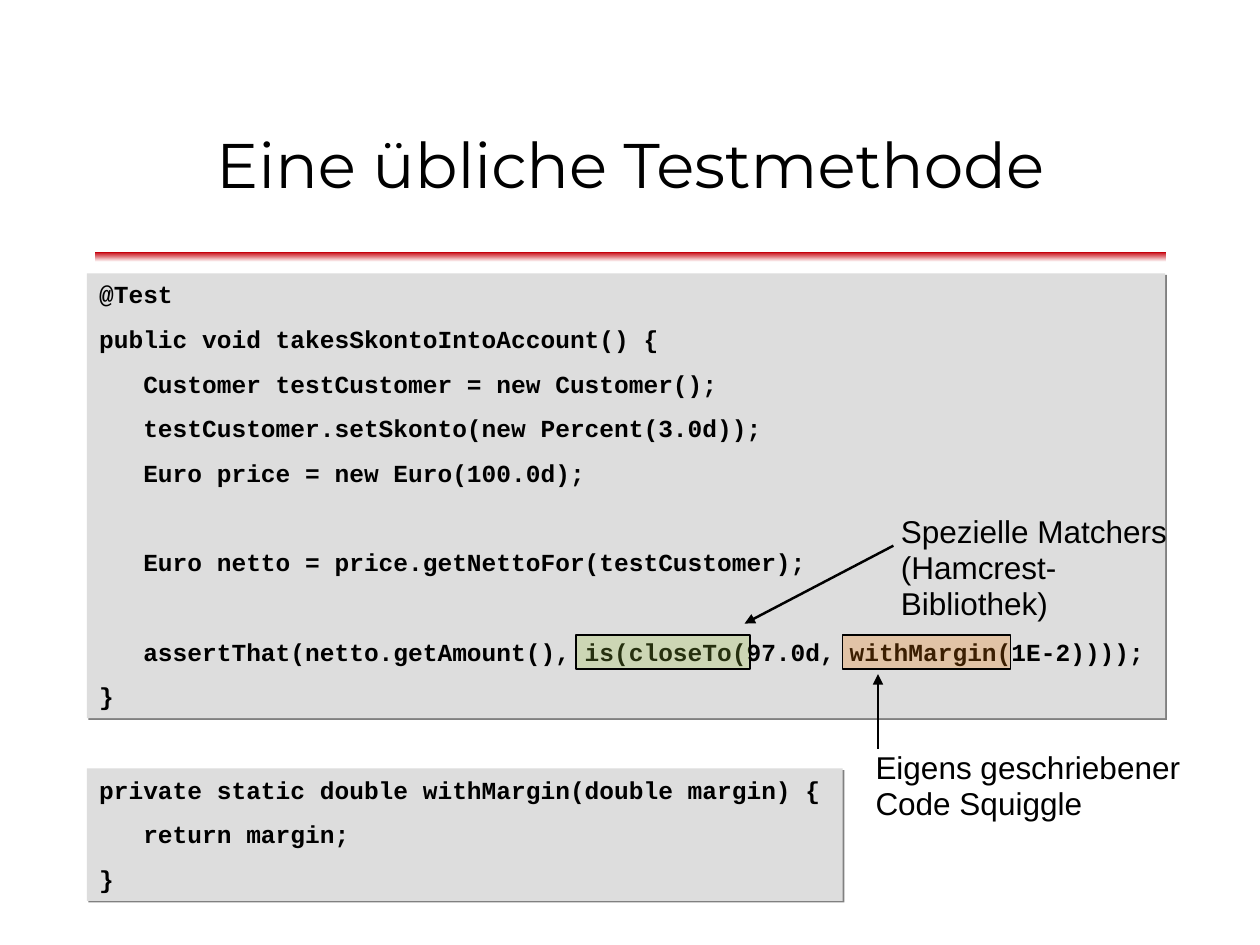
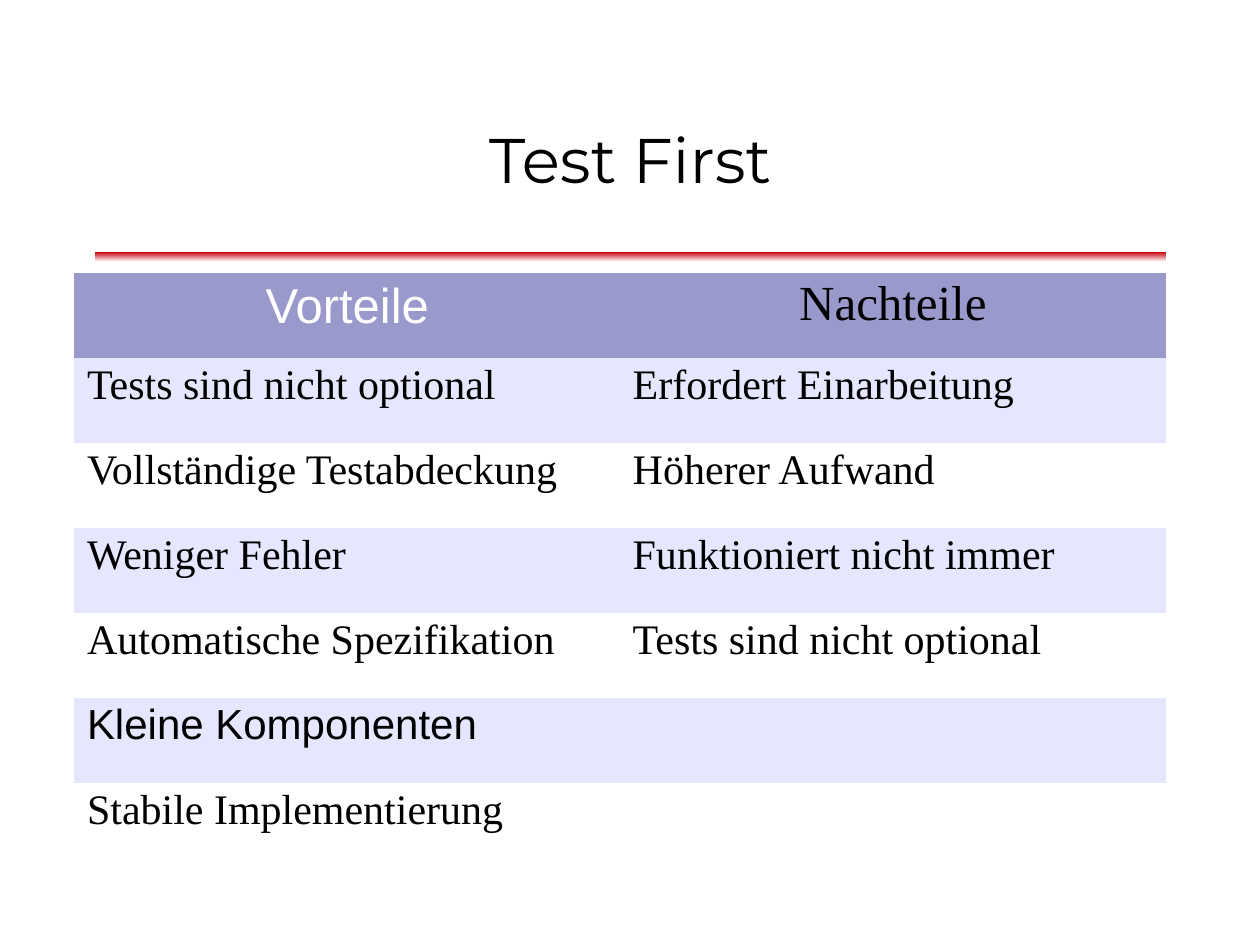
"""Build two slides on test methods and test-first development."""
from dataclasses import dataclass

from lxml import etree
from pptx import Presentation
from pptx import util as u
from pptx.dml.color import RGBColor
from pptx.enum import shapes, text
from pptx.oxml import ns


@dataclass(frozen=True)
class Theme:
    ink: str = "000000"
    paper: str = "FFFFFF"
    rule: str = "C5000B"
    code_fill: str = "DDDDDD"
    shadow: str = "808080"
    green: str = "9AC33D"
    orange: str = "ED7905"
    header: str = "9999CC"
    band: str = "E6E6FF"
    title_font: str = "Montserrat"
    code_font: str = "Courier New"
    sans: str = "Arial"
    serif: str = "Times New Roman"
    title_size: float = 36
    code_size: float = 14
    note_size: float = 18
    header_size: float = 28
    cell_size: float = 24
    code_line: float = 16.8
    code_gap: float = 8.7
    tight: float = 0.95


THEME = Theme()
NO_GRID_STYLE = "{2D5ABB26-0587-4C30-8999-92F81FD0307C}"
RULE_BOX = (1.91, 5.08, 21.59, 0.2)

METHOD_TITLE = ("Eine übliche Testmethode", (1.91, 1.7, 21.59, 3.18), 1.0)
FIRST_TITLE = ("Test First", (1.91, 0.46, 21.59, 5.61), 0.96)

CODE_BLOCKS = [
    ((1.75, 5.51, 21.74, 8.97), [
        "@Test",
        "public void takesSkontoIntoAccount() {",
        "   Customer testCustomer = new Customer();",
        "   testCustomer.setSkonto(new Percent(3.0d));",
        "   Euro price = new Euro(100.0d);",
        "",
        "   Euro netto = price.getNettoFor(testCustomer);",
        "",
        "   assertThat(netto.getAmount(), is(closeTo(97.0d, withMargin(1E-2))));",
        "}",
    ]),
    ((1.75, 15.49, 15.24, 2.67), [
        "private static double withMargin(double margin) {",
        "   return margin;",
        "}",
    ]),
]
HIGHLIGHTS = [
    ((11.61, 12.8, 3.51, 0.69), THEME.green),
    ((16.99, 12.8, 3.38, 0.69), THEME.orange),
]
NOTES = [
    ((17.91, 10.26, 6.6, 1.7), ["Spezielle Matchers", "(Hamcrest-Bibliothek)"],
     (18.01, 11, 15.01, 12.57)),
    ((17.4, 15.01, 6.65, 1.7), ["Eigens geschriebener", "Code Squiggle"],
     (17.7, 15.09, 17.7, 13.59)),
]

TABLE_BOX = (1.5, 5.51, 22, 11.99)
TABLE_ROWS = [
    ("Vorteile", "Nachteile"),
    ("Tests sind nicht optional", "Erfordert Einarbeitung"),
    ("Vollständige Testabdeckung", "Höherer Aufwand"),
    ("Weniger Fehler", "Funktioniert nicht immer"),
    ("Automatische Spezifikation", "Tests sind nicht optional"),
    ("Kleine Komponenten", ""),
    ("Stabile Implementierung", ""),
]
CELL_FORMATS = {
    "Vorteile": dict(font=THEME.sans, color=THEME.paper, spacing=1.0),
    "Kleine Komponenten": dict(font=THEME.sans),
}


def cm(lengths):
    return [u.Cm(length) for length in lengths]


def rgb(color):
    return RGBColor.from_string(color)


def add_element(parent, tag, **attributes):
    element = etree.SubElement(parent, ns.qn(tag))
    for name, value in attributes.items():
        element.set(name, str(value))
    return element


def write(para, words, *, font, size, color=THEME.ink, bold=False,
          align=text.PP_ALIGN.LEFT, spacing=1.0, before=0):
    para.alignment = align
    para.line_spacing = spacing
    if before:
        para.space_before = u.Pt(before)
    span = para.add_run()
    span.text = words
    span.font.name = font
    span.font.size = u.Pt(size)
    span.font.bold = bold
    span.font.color.rgb = rgb(color)


def next_para(frame, index):
    return frame.add_paragraph() if index else frame.paragraphs[0]


def add_rect(page, place):
    box = page.shapes.add_shape(shapes.MSO_SHAPE.RECTANGLE, *cm(place))
    box.shadow.inherit = False
    box.line.fill.background()
    return box


def add_page(deck, title, place, spacing):
    page = deck.slides.add_slide(deck.slide_layouts[6])
    rule = add_rect(page, RULE_BOX)
    rule.fill.gradient()
    rule.fill.gradient_angle = 90
    for stop, color, position in zip(rule.fill.gradient_stops,
                                     (THEME.paper, THEME.rule), (0, 1)):
        stop.color.rgb = rgb(color)
        stop.position = position
    frame = page.shapes.add_textbox(*cm(place)).text_frame
    frame.word_wrap = True
    frame.vertical_anchor = text.MSO_ANCHOR.MIDDLE
    write(frame.paragraphs[0], title, font=THEME.title_font, size=THEME.title_size,
          align=text.PP_ALIGN.CENTER, spacing=spacing)
    return page


def add_code(page, place, lines):
    box = add_rect(page, place)
    box.fill.solid()
    box.fill.fore_color.rgb = rgb(THEME.code_fill)
    effects = box._element.spPr.find(ns.qn("a:effectLst"))
    shadow = add_element(effects, "a:outerShdw", blurRad=0, dist=u.Pt(1.4),
                         dir=45 * 60000, algn="tl", rotWithShape=0)
    add_element(shadow, "a:srgbClr", val=THEME.shadow)
    frame = box.text_frame
    frame.word_wrap = True
    frame.vertical_anchor = text.MSO_ANCHOR.TOP
    before = 0
    for index, line in enumerate(lines):
        if not line:
            before += THEME.code_line + THEME.code_gap
            continue
        write(next_para(frame, index), line, font=THEME.code_font,
              size=THEME.code_size, bold=True, spacing=u.Pt(THEME.code_line),
              before=before)
        before = THEME.code_gap


def add_highlight(page, place, color):
    box = add_rect(page, place)
    box.fill.solid()
    box.fill.fore_color.rgb = rgb(color)
    tint = box._element.spPr.find(ns.qn("a:solidFill")).find(ns.qn("a:srgbClr"))
    add_element(tint, "a:alpha", val=25000)
    box.line.color.rgb = rgb(THEME.ink)
    box.line.width = u.Pt(0)


def add_note(page, place, lines, arrow_ends):
    frame = page.shapes.add_textbox(*cm(place)).text_frame
    frame.word_wrap = False
    for index, line in enumerate(lines):
        write(next_para(frame, index), line, font=THEME.sans,
              size=THEME.note_size, spacing=THEME.tight)
    arrow = page.shapes.add_connector(shapes.MSO_CONNECTOR.STRAIGHT, *cm(arrow_ends))
    arrow.line.color.rgb = rgb(THEME.ink)
    arrow.line.width = u.Pt(1.42)
    add_element(arrow.line._get_or_add_ln(), "a:tailEnd", type="triangle")
    add_element(arrow._element.spPr, "a:effectLst")


def add_comparison(page, place, rows):
    holder = page.shapes.add_table(len(rows), len(rows[0]), *cm(place))
    table = holder.table
    table.first_row = table.horz_banding = False
    for style in holder._element.iter(ns.qn("a:tableStyleId")):
        style.text = NO_GRID_STYLE
    for row_index, row in enumerate(rows):
        is_header = row_index == 0
        fill = THEME.header if is_header else (THEME.paper, THEME.band)[row_index % 2]
        for column_index, words in enumerate(row):
            cell = table.cell(row_index, column_index)
            cell.fill.solid()
            cell.fill.fore_color.rgb = rgb(fill)
            if words:
                style = dict(
                    font=THEME.serif, spacing=THEME.tight,
                    size=THEME.header_size if is_header else THEME.cell_size,
                    align=text.PP_ALIGN.CENTER if is_header else text.PP_ALIGN.LEFT)
                style.update(CELL_FORMATS.get(words, {}))
                write(cell.text_frame.paragraphs[0], words, **style)


def main():
    deck = Presentation()
    deck.slide_width, deck.slide_height = cm((25.4, 19.05))

    page = add_page(deck, *METHOD_TITLE)
    for block in CODE_BLOCKS:
        add_code(page, *block)
    for highlight in HIGHLIGHTS:
        add_highlight(page, *highlight)
    for note in NOTES:
        add_note(page, *note)

    page = add_page(deck, *FIRST_TITLE)
    add_comparison(page, TABLE_BOX, TABLE_ROWS)

    deck.save("out.pptx")


if __name__ == "__main__":
    main()
